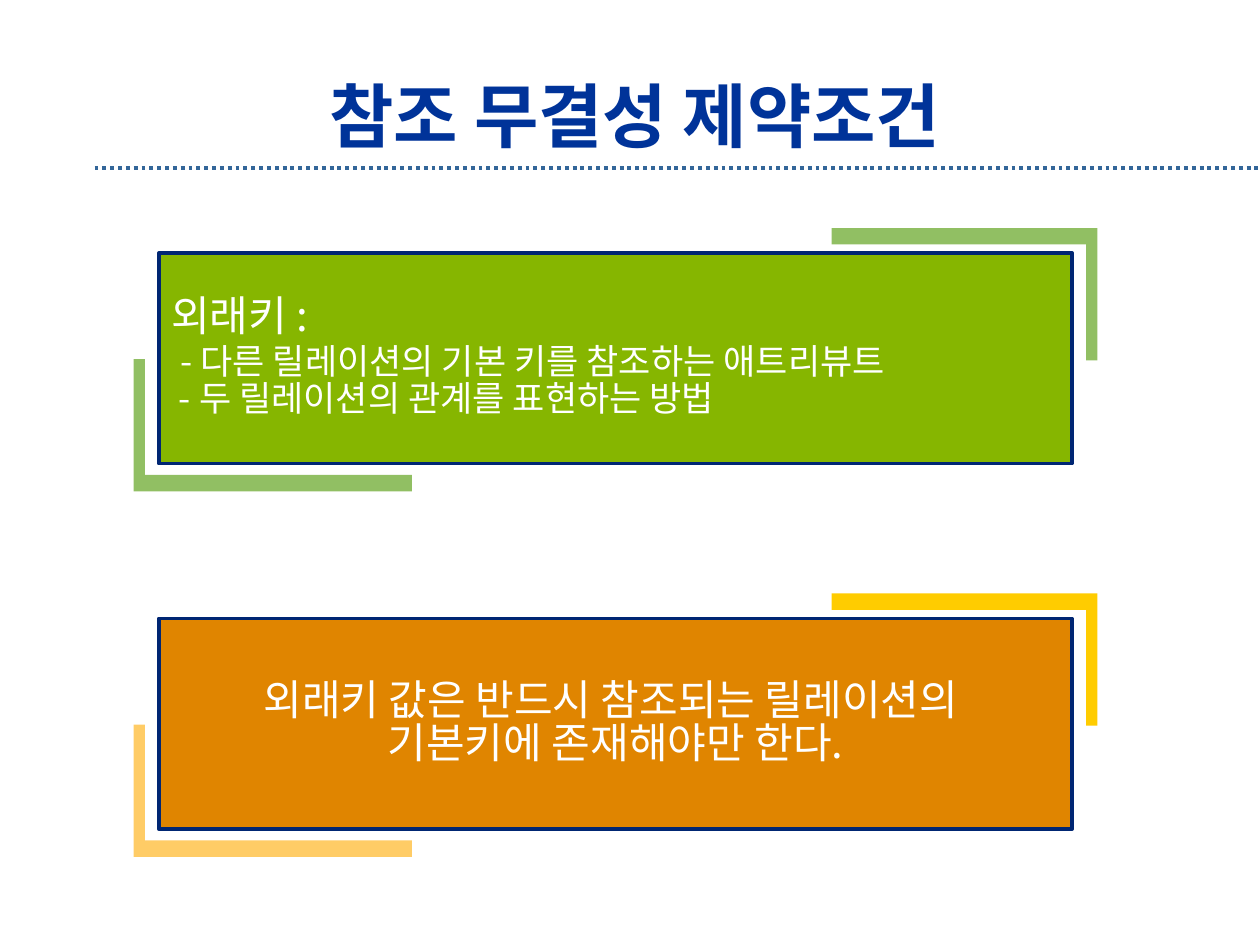
from lxml import etree
from pptx import Presentation
from pptx import util as u
from pptx.dml import color
from pptx.enum import dml, shapes, text
from pptx.oxml import ns

FONT = "Noto Sans CJK KR"
WHITE, NAVY, BLUE, STEEL = "FFFFFF", "002673", "003399", "336699"
GREEN, PALE_GREEN = "86B600", "91BF63"
ORANGE, YELLOW, PALE_ORANGE = "E08500", "FFCC00", "FFCC66"


def rgb(value):
    return color.RGBColor.from_string(value)


class SlideStyle:
    """Shared look of the slide, with one method per kind of element."""

    line_spacing = 0.85
    arm_width, arm_height = 0.09, 0.13

    def __init__(self, slide):
        self.slide = slide

    def fill_text(self, frame, paragraphs, align, fill, bold=False):
        """Each paragraph is a list of (text, size) runs."""
        frame.word_wrap = True
        frame.auto_size = text.MSO_AUTO_SIZE.NONE
        frame.vertical_anchor = text.MSO_ANCHOR.MIDDLE
        for index, runs in enumerate(paragraphs):
            para = frame.add_paragraph() if index else frame.paragraphs[0]
            para.alignment = align
            para.line_spacing = self.line_spacing
            para.space_before = para.space_after = u.Pt(0)
            for words, size in runs:
                span = para.add_run()
                span.text = words
                span.font.name = FONT
                span.font.size = u.Pt(size)
                span.font.bold = bold
                span.font.color.rgb = rgb(fill)
                east_asian = etree.SubElement(span.font._element, ns.qn("a:ea"))
                east_asian.set("typeface", FONT)

    def title(self, words, left, top, width, height):
        box = self.slide.shapes.title
        box.left, box.top = u.Inches(left), u.Inches(top)
        box.width, box.height = u.Inches(width), u.Inches(height)
        self.fill_text(box.text_frame, [[(words, 40)]], text.PP_ALIGN.CENTER, BLUE, True)

    def dotted_line(self, left, right, y):
        rule = self.slide.shapes.add_connector(
            shapes.MSO_CONNECTOR.STRAIGHT,
            u.Inches(left), u.Inches(y), u.Inches(right), u.Inches(y))
        rule.line.color.rgb = rgb(STEEL)
        rule.line.width = u.Pt(2.25)
        rule.line.dash_style = dml.MSO_LINE.ROUND_DOT
        etree.SubElement(rule._element.spPr, ns.qn("a:effectLst"))

    def bracket(self, x, y, width, height, fill):
        """L-shape from its outer corner; signed sizes give the arm directions."""
        thick_x = self.arm_width if width > 0 else -self.arm_width
        thick_y = self.arm_height if height > 0 else -self.arm_height
        steps = [(0, 0), (width, 0), (width, thick_y), (thick_x, thick_y),
                 (thick_x, height), (0, height)]
        points = [(u.Inches(x + dx), u.Inches(y + dy)) for dx, dy in steps]
        builder = self.slide.shapes.build_freeform(*points[0])
        builder.add_line_segments(points[1:], close=True)
        shape = builder.convert_to_shape()
        shape.shadow.inherit = False
        shape.fill.solid()
        shape.fill.fore_color.rgb = rgb(fill)
        shape.line.fill.background()

    def panel(self, top, fill, low_fill, high_fill, paragraphs, align):
        """Outlined box with a bracket at two opposite corners."""
        self.bracket(1.06, top + 1.89, 2.21, -1.05, low_fill)
        self.bracket(8.71, top - 0.2, -2.11, 1.05, high_fill)
        box = self.slide.shapes.add_shape(
            shapes.MSO_SHAPE.RECTANGLE,
            u.Inches(1.26), u.Inches(top), u.Inches(7.25), u.Inches(1.67))
        box.shadow.inherit = False
        box.fill.solid()
        box.fill.fore_color.rgb = rgb(fill)
        box.line.color.rgb = rgb(NAVY)
        box.line.width = u.Pt(2)
        self.fill_text(box.text_frame, paragraphs, align, WHITE)


def main():
    deck = Presentation()
    deck.slide_width, deck.slide_height = u.Inches(10), u.Inches(7.5)
    page = SlideStyle(deck.slides.add_slide(deck.slide_layouts[5]))

    # Heading
    page.dotted_line(0.75, 10, 1.33)
    page.title("참조 무결성 제약조건", 0.75, 0.67, 8.58, 0.58)

    # Rule for foreign key values
    page.panel(4.91, ORANGE, PALE_ORANGE, YELLOW, [
        [("외래키 값은 반드시 참조되는 릴레이션의 ", 24)],
        [("기본키에 존재해야만 한다.", 24)],
    ], text.PP_ALIGN.CENTER)

    # Definition of a foreign key
    page.panel(2.01, GREEN, PALE_GREEN, PALE_GREEN, [
        [("외래키 :", 24)],
        [(" ", 24), ("- 다른 릴레이션의 기본 키를 참조하는 애트리뷰트", 20)],
        [(" - 두 릴레이션의 관계를 표현하는 방법", 20)],
    ], text.PP_ALIGN.LEFT)

    deck.save("out.pptx")


if __name__ == "__main__":
    main()
